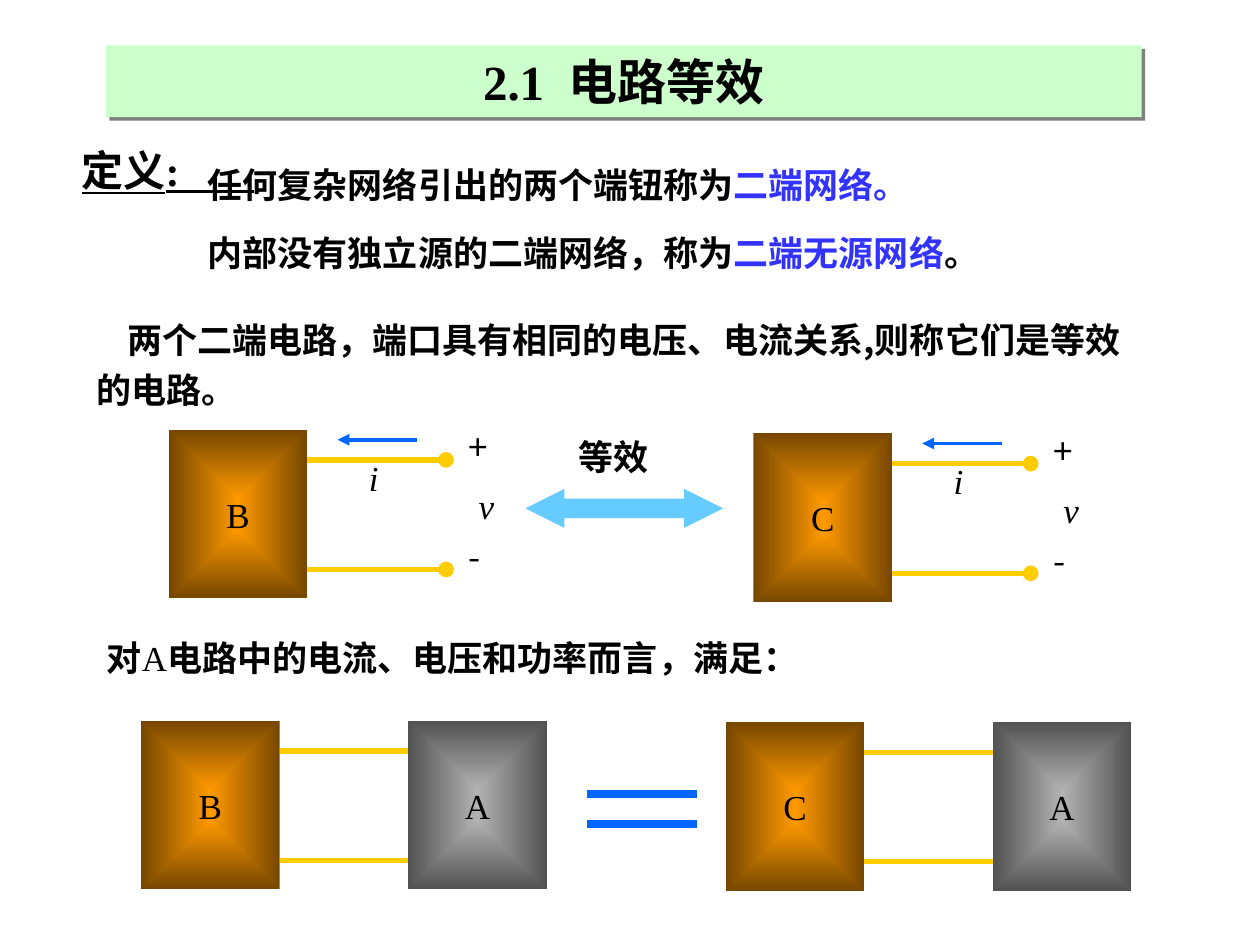
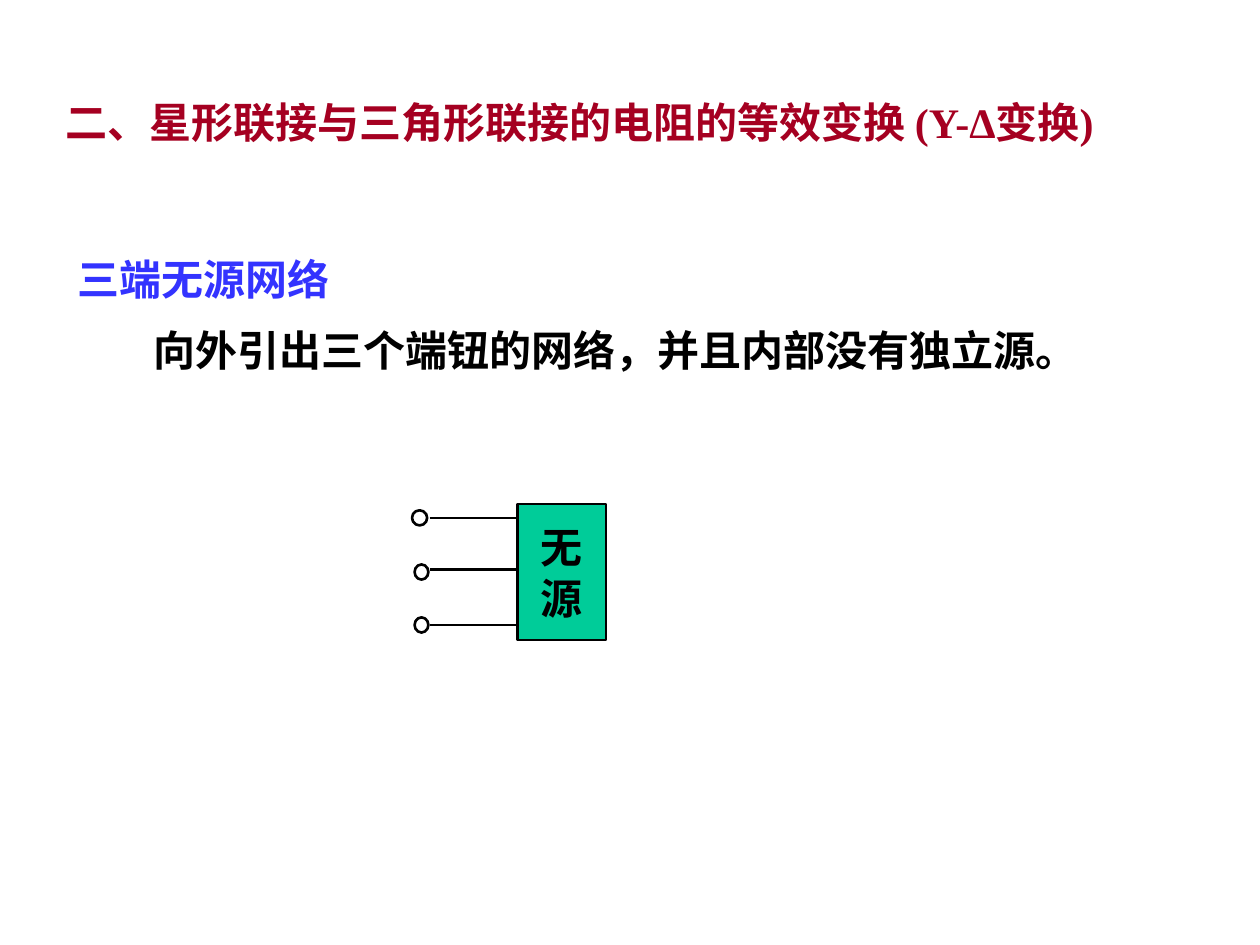
from lxml import etree
from pptx import Presentation
from pptx import util as u
from pptx.dml.color import RGBColor
from pptx.enum import shapes, text
from pptx.oxml import parse_xml
from pptx.oxml.ns import nsdecls, qn

# Grid: ten columns across the slide, square cells
WIDTH, HEIGHT = u.Inches(10), u.Inches(7.5)
CELL = WIDTH // 10

BLACK, WHITE, TERM_BLUE, HEADING_RED = "000000", "FFFFFF", "3333FF", "A50021"
WIRE, CURRENT = "FFCC00", "0066FF"
ORANGE, GRAY = ("FF9900", "764700"), ("B2B2B2", "525252")
SERIF, SANS, LABEL = "Times New Roman", "Noto Sans CJK SC", "Arial"
BOX_W, BOX_H = 1.1, 1.34
WIRE_ROWS = (0.24, 1.11)
RECT = shapes.MSO_SHAPE.RECTANGLE
BODY = dict(size=20, name=SERIF, color=BLACK, bold=True)
HEAD = dict(BODY, size=24)
SYMBOL = dict(BODY, bold=False)


def color(value):
    return RGBColor.from_string(value)


def cells(*values):
    return [round(value * CELL) for value in values]


def set_format(run, style):
    values = dict(style)
    run.font.color.rgb = color(values.pop("color"))
    values["size"] = u.Pt(values["size"])
    for key, value in values.items():
        setattr(run.font, key, value)
    east_asian = etree.SubElement(run.font._element, qn("a:ea"))
    east_asian.set("typeface", SANS)


def write(shape, paragraphs, wrap=True, anchor="TOP", align="LEFT", spacing=None, gap=0, indents=()):
    """Each paragraph is a list of (wording, style) runs."""
    frame = shape.text_frame
    frame.word_wrap = wrap
    frame.vertical_anchor = getattr(text.MSO_ANCHOR, anchor)
    for index, runs in enumerate(paragraphs):
        paragraph = frame.add_paragraph() if index else frame.paragraphs[0]
        paragraph.alignment = getattr(text.PP_ALIGN, align)
        if spacing:
            paragraph.line_spacing = spacing
        if index and gap:
            paragraph.space_before = u.Pt(gap)
        if index < len(indents):
            paragraph._p.get_or_add_pPr().set("indent", str(cells(indents[index])[0]))
        for wording, style in runs:
            run = paragraph.add_run()
            run.text = wording
            set_format(run, style)


def text_box(slide, at, paragraphs, **layout):
    write(slide.shapes.add_textbox(*cells(*at)), paragraphs, **layout)


def block(slide, at, kind=RECT, fill=None, line=None, width=1.5):
    shape = slide.shapes.add_shape(kind, *cells(*at))
    shape.shadow.inherit = False
    if fill:
        shape.fill.solid()
        shape.fill.fore_color.rgb = color(fill)
    else:
        shape.fill.background()
    if line:
        shape.line.color.rgb = color(line)
        shape.line.width = u.Pt(width)
    else:
        shape.line.fill.background()
    return shape


def connect(slide, start, end, stroke, width, tip=None):
    line = slide.shapes.add_connector(shapes.MSO_CONNECTOR.STRAIGHT, *cells(*start, *end))
    line.line.color.rgb = color(stroke)
    line.line.width = u.Pt(width)
    if tip:
        etree.SubElement(line.line._get_or_add_ln(), qn("a:tailEnd")).set("type", tip)
    etree.SubElement(line._element.spPr, qn("a:effectLst"))


def drop_shadow(shape):
    shape._element.spPr.find(qn("a:effectLst")).append(parse_xml(
        f'<a:outerShdw {nsdecls("a")} dist="{u.Pt(2.8)}" dir="2700000" algn="ctr">'
        '<a:srgbClr val="808080"/></a:outerShdw>'))


def network(slide, x, y, name, shades):
    """A box glowing from its centre, with its name."""
    box = block(slide, (x, y, BOX_W, BOX_H))
    stops = "".join(f'<a:gs pos="{pos}"><a:srgbClr val="{shade}"/></a:gs>'
                    for pos, shade in zip((0, 100000), shades))
    properties = box._element.spPr
    properties.replace(properties.find(qn("a:noFill")), parse_xml(
        f'<a:gradFill {nsdecls("a")} rotWithShape="1"><a:gsLst>{stops}</a:gsLst>'
        '<a:path path="shape"><a:fillToRect l="50000" t="50000" r="50000" b="50000"/>'
        '</a:path></a:gradFill>'))
    write(box, [[(name, SYMBOL)]], wrap=False, anchor="MIDDLE", align="CENTER")


def two_terminal(slide, x, y, name):
    network(slide, x, y, name, ORANGE)
    for row in WIRE_ROWS:
        connect(slide, (x + BOX_W, y + row), (x + 2 * BOX_W, y + row), WIRE, 3, "oval")


def open_port(slide, x, y, name):
    """A two-terminal network with its port current and voltage."""
    two_terminal(slide, x, y, name)
    connect(slide, (x + 1.97, y + 0.08), (x + 1.34, y + 0.08), CURRENT, 2.25, "triangle")
    sign, variable = dict(SYMBOL, name=SANS), dict(SYMBOL, italic=True)
    for mark, dx, dy, style in (("+", 2.28, -0.08, sign), ("-", 2.28, 0.79, sign),
                                ("v", 2.36, 0.39, variable), ("i", 1.49, 0.16, variable)):
        text_box(slide, (x + dx, y + dy, 0.39, 0.43), [[(mark, style)]])


def loaded_port(slide, x, y, name):
    """A two-terminal network joined to circuit A."""
    two_terminal(slide, x, y, name)
    network(slide, x + 2.12, y, "A", GRAY)


def equivalence_slide(slide):
    term = dict(BODY, color=TERM_BLUE)
    # Definitions
    text_box(slide, (1.55, 1.18, 7.92, 1.04), [
        [("任何复杂网络引出的两个端钮称为", BODY), ("二端网络。", term)],
        [("内部没有独立源的二端网络，称为", BODY), ("二端无源网络", term), ("。", BODY)],
    ], spacing=1.2, gap=10)
    text_box(slide, (0.55, 1.1, 0.9, 0.9), [[("定义:", dict(HEAD, underline=True))]])

    # Title band
    band = block(slide, (0.84, 0.36, 8.22, 0.57), fill="CCFFCC")
    drop_shadow(band)
    write(band, [[("2.1  电路等效", dict(BODY, size=28))]], anchor="MIDDLE", align="CENTER")

    # Equivalent networks B and C
    rule = block(slide, (0.67, 2.41, 8.58, 0.91), line=WHITE, width=0.75)
    write(rule, [[("两个二端电路，端口具有相同的电压、电流关系,则称它们是等效的电路。",
                   dict(BODY, name=SANS))]], spacing=1.2, indents=[0.24])
    open_port(slide, 1.34, 3.41, "B")
    open_port(slide, 5.98, 3.44, "C")
    arrow = block(slide, (4.17, 3.88, 1.57, 0.31), shapes.MSO_SHAPE.LEFT_RIGHT_ARROW, "66CCFF")
    arrow.adjustments[0], arrow.adjustments[1] = 0.5, 1
    text_box(slide, (4.49, 3.41, 1.26, 0.43), [[("等效", dict(BODY, name=LABEL))]])

    # Same effect on circuit A
    sans = dict(BODY, name=SANS)
    text_box(slide, (0.75, 5, 8.27, 0.43), [[
        ("对", sans), ("A", SYMBOL), ("电路中的电流、电压和功率而言，满足：", sans)]])
    loaded_port(slide, 1.12, 5.72, "B")
    loaded_port(slide, 5.76, 5.73, "C")
    for y in (6.3, 6.54):
        connect(slide, (4.66, y), (5.53, y), CURRENT, 4.5)


def three_terminal_slide(slide):
    # Heading and definition
    heading = block(slide, (0.42, 0.72, 9.23, 0.5), fill=WHITE)
    write(heading, [[("二、星形联接与三角形联接的电阻的等效变换 (Y-Δ变换)",
                      dict(HEAD, color=HEADING_RED))]])
    text_box(slide, (0.52, 1.96, 8.7, 1.1), [
        [("三端无源网络", dict(HEAD, color=TERM_BLUE))],
        [("向外引出三个端钮的网络，并且内部没有独立源。", HEAD)],
    ], gap=12, indents=[0, 0.6])

    # Passive network with three terminals
    passive = block(slide, (4.11, 4, 0.7, 1.08), fill="00CC99", line=BLACK)
    write(passive, [[("无", HEAD)], [("源", HEAD)]], wrap=False, anchor="MIDDLE", align="CENTER")
    for wire_y, x, y, width in ((4.11, 3.27, 4.05, 0.12), (4.52, 3.29, 4.48, 0.11),
                                (4.96, 3.29, 4.9, 0.11)):
        connect(slide, (3.41, wire_y), (4.11, wire_y), BLACK, 1.5)
        block(slide, (x, y, width, 0.12), shapes.MSO_SHAPE.OVAL, line=BLACK)


def main():
    deck = Presentation()
    deck.slide_width, deck.slide_height = WIDTH, HEIGHT
    for build in (equivalence_slide, three_terminal_slide):
        build(deck.slides.add_slide(deck.slide_layouts[6]))
    deck.save("out.pptx")


if __name__ == "__main__":
    main()
